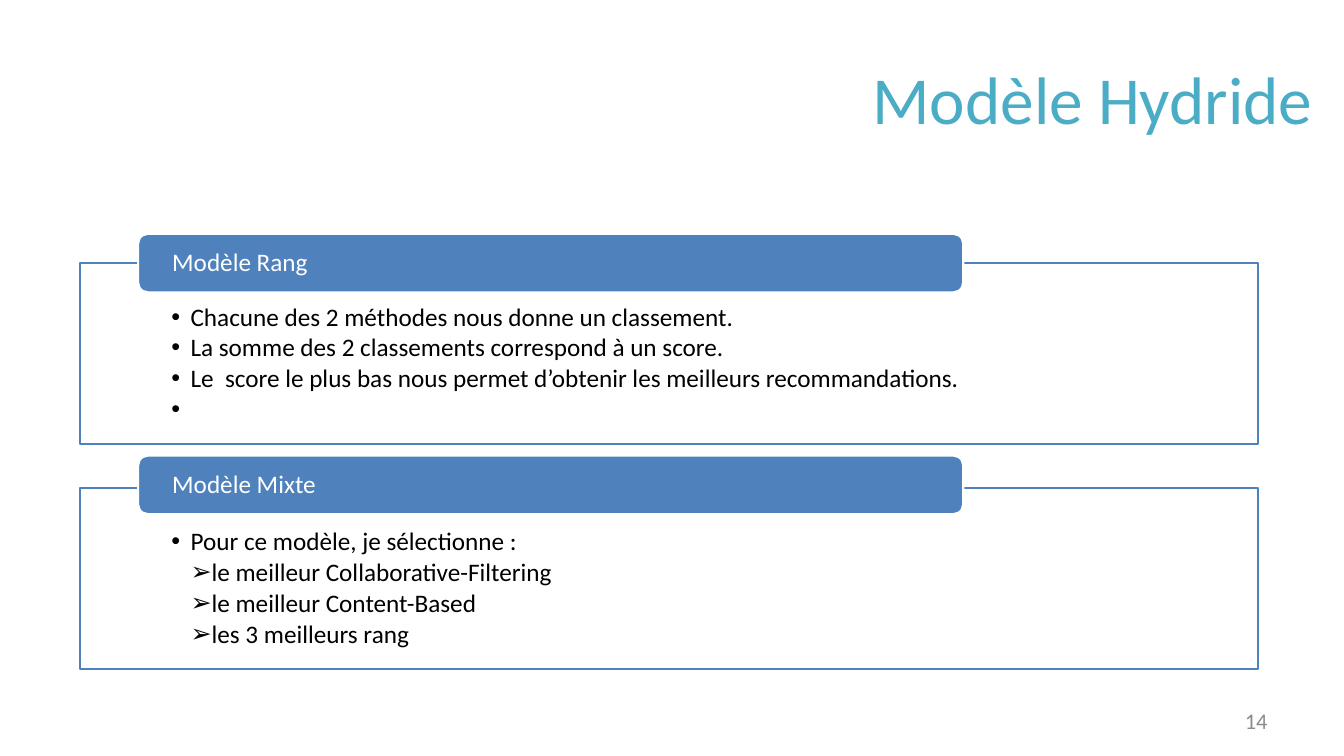
from lxml.etree import SubElement
from pptx import Presentation
from pptx.dml.color import RGBColor
from pptx.enum.shapes import MSO_SHAPE
from pptx.enum.text import MSO_ANCHOR, PP_ALIGN
from pptx.oxml.ns import qn
from pptx.util import Inches, Pt

COLORS = {"title": "4BACC6", "accent": "4F81BD", "white": "FFFFFF",
          "text": "000000", "number": "8C8C8C"}
BULLETS = {1: "•", 2: "➢"}
INDENT = 0.19
MODELS = [
    {"heading": "Modèle Rang", "top": 2.61, "rise": 0.29, "points": [
        (1, "Chacune des 2 méthodes nous donne un classement."),
        (1, "La somme des 2 classements correspond à un score."),
        (1, "Le  score le plus bas nous permet d’obtenir les meilleurs recommandations."),
        (1, "\t")]},
    {"heading": "Modèle Mixte", "top": 4.84, "rise": 0.32, "points": [
        (1, "Pour ce modèle, je sélectionne :"),
        (2, "le meilleur Collaborative-Filtering"),
        (2, "le meilleur Content-Based"),
        (2, "les 3 meilleurs rang")]},
]


def set_frame(frame, anchor, **margins):
    """Apply wrapping, anchor and margins in inches to a text frame."""
    frame.word_wrap = True
    frame.vertical_anchor = anchor
    for side, inches in margins.items():
        setattr(frame, f"margin_{side}", Inches(inches))


def write(paragraph, words, size, color, align=PP_ALIGN.LEFT, **spacing):
    """Write one formatted run into a paragraph."""
    for name, value in {"alignment": align, **spacing}.items():
        setattr(paragraph, name, value)
    run = paragraph.add_run()
    run.text = words
    for name, value in {"name": "Calibri", "size": Pt(size)}.items():
        setattr(run.font, name, value)
    run.font.color.rgb = RGBColor.from_string(COLORS[color])


def add_bullet(paragraph, level):
    """Give a paragraph the bullet and hanging indent of its level."""
    paragraph.level = level
    properties = paragraph._p.get_or_add_pPr()
    properties.set("marL", str(Inches(INDENT * level)))
    properties.set("indent", str(-Inches(INDENT)))
    SubElement(properties, qn("a:buFont"), typeface="Arial")
    SubElement(properties, qn("a:buChar"), char=BULLETS[level])


def add_panel(slide, kind, box, fill, line):
    """Add a filled, outlined shape without shadow."""
    panel = slide.shapes.add_shape(kind, *map(Inches, box))
    panel.shadow.inherit = False
    panel.fill.solid()
    panel.fill.fore_color.rgb = RGBColor.from_string(COLORS[fill])
    panel.line.color.rgb = RGBColor.from_string(COLORS[line])
    panel.line.width = Pt(1.5)
    return panel


def add_model(slide, box, model):
    """Place a bulleted panel in the box, with its heading across the top edge."""
    left, top, width, height = box
    body = add_panel(slide, MSO_SHAPE.RECTANGLE, box, "white", "accent")
    white = body.fill._xPr.find(qn("a:solidFill"))[0]
    SubElement(white, qn("a:alpha"), val="90000")
    set_frame(body.text_frame, MSO_ANCHOR.TOP,
              left=0.91, top=0.41, right=0.91, bottom=0.14)
    for index, (level, words) in enumerate(model["points"]):
        point = (body.text_frame.add_paragraph() if index
                 else body.text_frame.paragraphs[0])
        write(point, words, 18, "text", line_spacing=0.9, space_after=Pt(2.5))
        add_bullet(point, level)

    heading_box = (left + 0.58, top - model["rise"], width * 0.7, 0.58)
    heading = add_panel(slide, MSO_SHAPE.ROUNDED_RECTANGLE, heading_box,
                        "accent", "white")
    set_frame(heading.text_frame, MSO_ANCHOR.MIDDLE,
              left=0.31, top=0, right=0.31, bottom=0)
    write(heading.text_frame.paragraphs[0], model["heading"], 18, "white",
          line_spacing=0.9)


def add_title(slide, box, words):
    """Move the title placeholder into the box and write it."""
    title = slide.shapes.title
    for name, value in zip(("left", "top", "width", "height"), box):
        setattr(title, name, Inches(value))
    set_frame(title.text_frame, MSO_ANCHOR.MIDDLE)
    write(title.text_frame.paragraphs[0], words, 48, "title", PP_ALIGN.RIGHT)


def add_number(slide, box, words):
    """Write the slide number at the right of the box."""
    number = slide.shapes.add_textbox(*map(Inches, box))
    set_frame(number.text_frame, MSO_ANCHOR.MIDDLE)
    write(number.text_frame.paragraphs[0], words, 16, "number", PP_ALIGN.RIGHT)


def main():
    """Build and save the slide."""
    deck = Presentation()
    deck.slide_width, deck.slide_height = Inches(13.33), Inches(7.5)
    slide = deck.slides.add_slide(deck.slide_layouts[5])
    add_title(slide, (1.1, 0.41, 12.02, 1.11), "Modèle Hydride")
    for model in MODELS:
        add_model(slide, (0.79, model["top"], 11.69, 1.8), model)
    add_number(slide, (9.56, 6.95, 3.11, 0.4), "14")
    deck.save("out.pptx")


if __name__ == "__main__":
    main()
